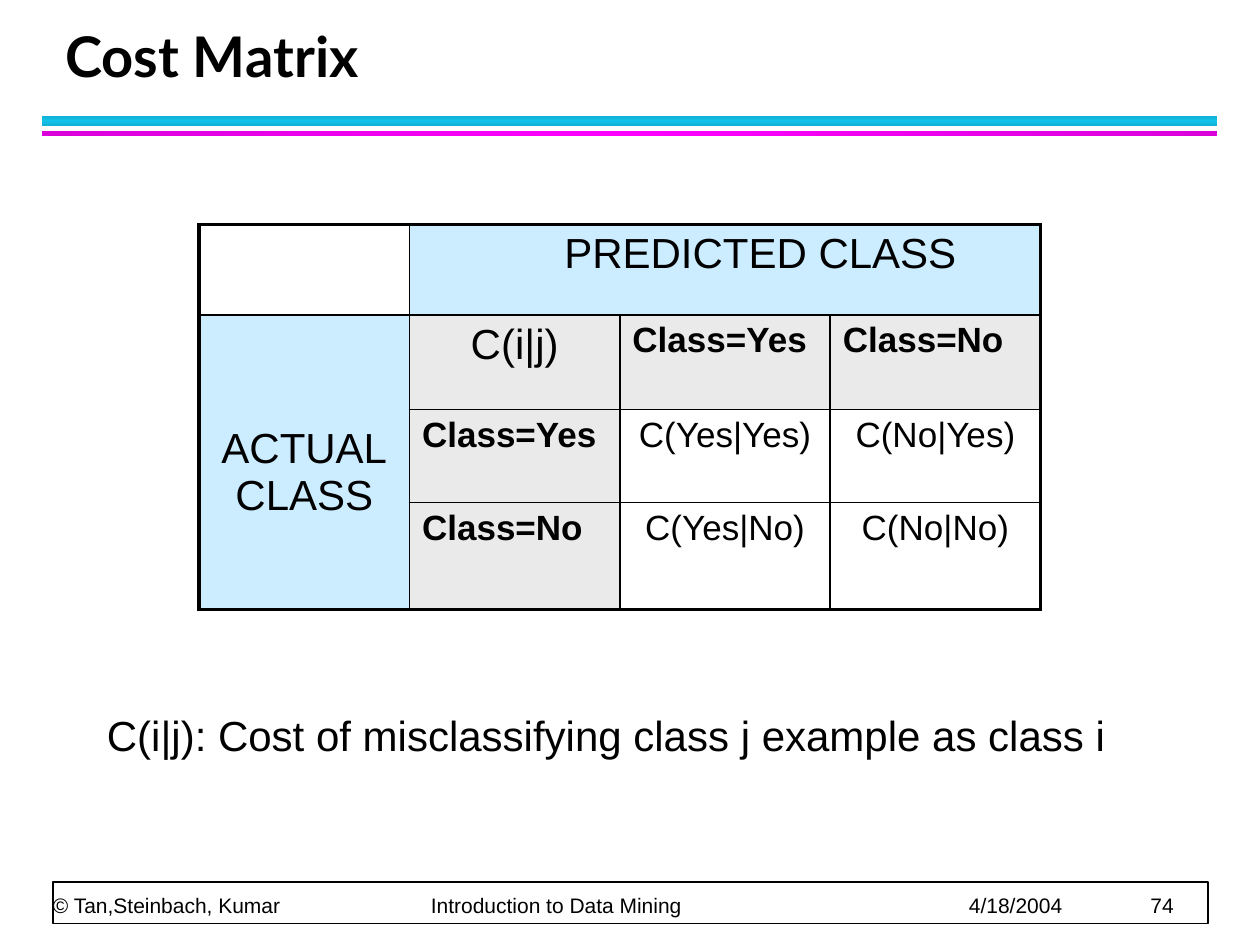
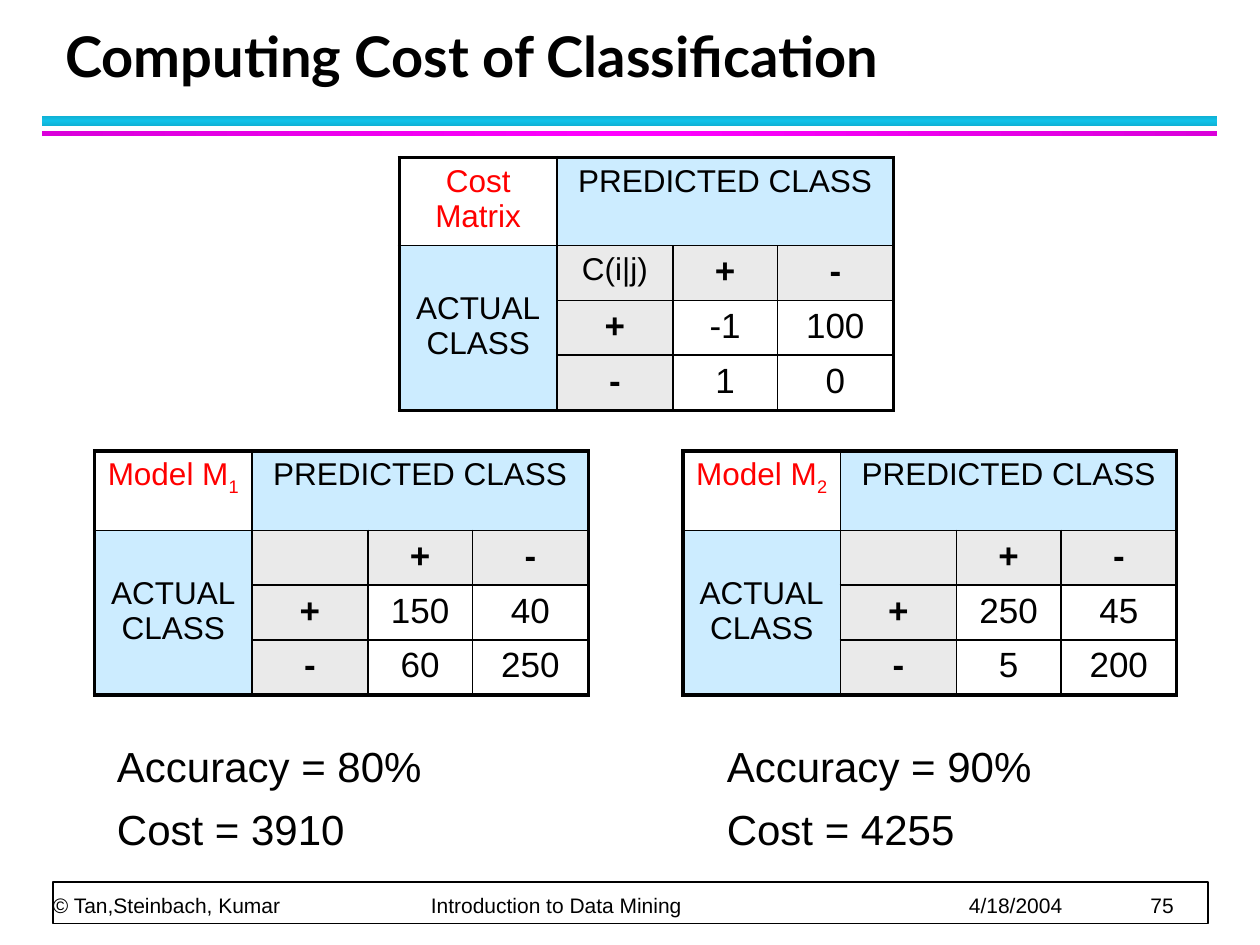
"""Build two slides on the cost matrix and the cost of classification."""
from copy import deepcopy
from dataclasses import dataclass

from lxml.etree import SubElement
from pptx import Presentation
from pptx.dml.color import RGBColor
from pptx.enum.shapes import MSO_SHAPE
from pptx.enum.text import MSO_ANCHOR, PP_ALIGN
from pptx.oxml.ns import qn
from pptx.slide import Slide
from pptx.table import Table, _Cell
from pptx.text.text import TextFrame, _Paragraph
from pptx.util import Inches, Pt

BLACK, WHITE, RED = "000000", "FFFFFF", "FF0000"
LIGHT_BLUE, LIGHT_GREY = "CCECFF", "EAEAEA"
BODY_FONT, TITLE_FONT = "Arial", "Lato"
THICK, THIN = 2.25, 1
FOOTER_TABS = (3.0, 7.27, 8.71)


@dataclass(frozen=True)
class Box:
    """Position and size in inches."""

    left: float
    top: float
    width: float
    height: float


@dataclass(frozen=True)
class Band:
    """Gradient stripe under the title."""

    box: Box
    edge: str
    middle: str
    angle: int


@dataclass(frozen=True)
class Matrix:
    """Table of predicted against actual classes."""

    left: float
    top: float
    grid: tuple[tuple[str, ...], ...]
    corner: str = ""
    subscript: str = ""
    column_widths: tuple[float, ...] = (1.25, 0.92, 0.83, 0.92)
    row_heights: tuple[float, ...] = (0.63, 0.38, 0.42, 0.44)
    label_size: int = 18
    class_alignment: PP_ALIGN = PP_ALIGN.CENTER
    predicted_margin: float = 0.1
    actual_margin: float = 0.36


@dataclass(frozen=True)
class Caption:
    """Lines of body text."""

    box: Box
    lines: tuple[str, ...]


@dataclass(frozen=True)
class Page:
    """Content of one slide."""

    title: str
    number: int
    matrices: tuple[Matrix, ...]
    captions: tuple[Caption, ...]


BANDS = (
    Band(Box(0.33, 0.92, 9.33, 0.08), "10B0D3", "12C2E9", 90),
    Band(Box(0.33, 1.04, 9.33, 0.04), "DA00DA", "FF00FF", 0),
)

PAGES = (
    Page(
        "Cost Matrix",
        74,
        (
            Matrix(
                1.58,
                1.78,
                (
                    ("C(i|j)", "Class=Yes", "Class=No"),
                    ("Class=Yes", "C(Yes|Yes)", "C(No|Yes)"),
                    ("Class=No", "C(Yes|No)", "C(No|No)"),
                ),
                column_widths=(1.67,) * 4,
                row_heights=(0.72, 0.75, 0.74, 0.85),
                label_size=24,
                class_alignment=PP_ALIGN.LEFT,
                predicted_margin=0.66,
                actual_margin=0.88,
            ),
        ),
        (Caption(Box(0.75, 5.58, 8.58, 1),
                 ("C(i|j): Cost of misclassifying class j example as class i",)),),
    ),
    Page(
        "Computing Cost of Classification",
        75,
        (
            Matrix(3.17, 1.25, (("C(i|j)", "+", "-"), ("+", "-1", "100"), ("-", "1", "0")),
                   "Cost Matrix"),
            Matrix(0.75, 3.58, (("", "+", "-"), ("+", "150", "40"), ("-", "60", "250")),
                   "Model M", "1"),
            Matrix(5.42, 3.58, (("", "+", "-"), ("+", "250", "45"), ("-", "5", "200")),
                   "Model M", "2"),
        ),
        (
            Caption(Box(0.83, 5.83, 3.33, 1.08), ("Accuracy = 80%", "Cost = 3910")),
            Caption(Box(5.67, 5.83, 3.33, 1.08), ("Accuracy = 90%", "Cost = 4255")),
        ),
    ),
)


def color(value: str) -> RGBColor:
    """Turn a hex string into a colour."""
    return RGBColor.from_string(value)


def place(box: Box) -> tuple[Inches, ...]:
    """Give a box as lengths."""
    return tuple(Inches(length) for length in (box.left, box.top, box.width, box.height))


def format_runs(paragraph: _Paragraph, size: int, bold: bool = False,
                ink: str = BLACK, font_name: str = BODY_FONT) -> None:
    """Style every run of a paragraph."""
    for run in paragraph.runs:
        run.font.name = font_name
        run.font.size = Pt(size)
        run.font.bold = bold
        run.font.color.rgb = color(ink)


def add_text(slide: Slide, box: Box, text: str) -> TextFrame:
    """Add a wrapping text box."""
    text_frame = slide.shapes.add_textbox(*place(box)).text_frame
    text_frame.word_wrap = True
    text_frame.text = text
    return text_frame


def draw_band(slide: Slide, band: Band) -> None:
    """Draw a stripe that runs from edge to middle colour and back."""
    shape = slide.shapes.add_shape(MSO_SHAPE.RECTANGLE, *place(band.box))
    shape.shadow.inherit = False
    shape.line.fill.background()
    shape.fill.gradient()
    shape.fill.gradient_angle = band.angle
    first, middle = shape.fill.gradient_stops
    first.color.rgb = color(band.edge)
    middle.color.rgb = color(band.middle)
    middle.position = 0.5
    stops = shape.element.spPr.find(".//" + qn("a:gsLst"))
    last = deepcopy(stops[0])
    last.set("pos", "100000")
    stops.append(last)


def draw_title(slide: Slide, title: str) -> None:
    """Write the slide title."""
    text_frame = add_text(slide, Box(0.42, 0.17, 9.06, 0.58), title)
    text_frame.vertical_anchor = MSO_ANCHOR.BOTTOM
    paragraph = text_frame.paragraphs[0]
    paragraph.line_spacing = Pt(36)
    format_runs(paragraph, 32, bold=True, font_name=TITLE_FONT)


def draw_footer(slide: Slide, number: int) -> None:
    """Draw the framed footer with its tabbed line."""
    frame = slide.shapes.add_shape(MSO_SHAPE.RECTANGLE, *place(Box(0.42, 7, 9.17, 0.33)))
    frame.shadow.inherit = False
    frame.fill.solid()
    frame.fill.fore_color.rgb = color(WHITE)
    frame.line.color.rgb = color(BLACK)
    frame.line.width = Pt(THIN)
    parts = ("© Tan,Steinbach, Kumar", "Introduction to Data Mining", "4/18/2004", str(number))
    text_frame = add_text(slide, Box(0.42, 7, 9.15, 0.28), "\t".join(parts))
    text_frame.vertical_anchor = MSO_ANCHOR.BOTTOM
    text_frame.margin_left = text_frame.margin_right = 0
    text_frame.margin_top = text_frame.margin_bottom = 0
    paragraph = text_frame.paragraphs[0]
    paragraph.line_spacing = Pt(20)
    format_runs(paragraph, 12)
    tab_list = SubElement(paragraph._p.get_or_add_pPr(), qn("a:tabLst"))
    for position in FOOTER_TABS:
        SubElement(tab_list, qn("a:tab"), pos=str(Inches(position)), algn="l")


def draw_borders(table: Table, row: int, column: int) -> None:
    """Give a cell thick outer and thin inner borders."""
    cell = table.cell(row, column)
    outer_sides = {
        "a:lnL": column == 0,
        "a:lnR": column + cell.span_width == len(table.columns),
        "a:lnT": row == 0,
        "a:lnB": row + cell.span_height == len(table.rows),
    }
    properties = cell._tc.get_or_add_tcPr()
    for tag, is_outer in outer_sides.items():
        if cell.is_spanned and not is_outer:
            continue
        line = SubElement(properties, qn(tag), w=str(Pt(THICK if is_outer else THIN)))
        fill = SubElement(line, qn("a:solidFill"))
        SubElement(fill, qn("a:srgbClr"), val=BLACK)


def fill_cell(cell: _Cell, text: str, size: int, background: str = WHITE, bold: bool = False,
              ink: str = BLACK, alignment: PP_ALIGN = PP_ALIGN.CENTER) -> None:
    """Write and colour one cell."""
    cell.fill.solid()
    cell.fill.fore_color.rgb = color(background)
    cell.text_frame.text = text
    paragraph = cell.text_frame.paragraphs[0]
    paragraph.alignment = alignment
    format_runs(paragraph, size, bold, ink)


def draw_matrix(slide: Slide, matrix: Matrix) -> None:
    """Draw a class matrix as a table."""
    box = Box(matrix.left, matrix.top, sum(matrix.column_widths), sum(matrix.row_heights))
    table = slide.shapes.add_table(4, 4, *place(box)).table
    table.first_row = table.horz_banding = False
    for column, width in zip(table.columns, matrix.column_widths):
        column.width = Inches(width)
    for row, height in zip(table.rows, matrix.row_heights):
        row.height = Inches(height)
    corner, predicted, actual = table.cell(0, 0), table.cell(0, 1), table.cell(1, 0)
    predicted.merge(table.cell(0, 3))
    actual.merge(table.cell(3, 0))
    for row in range(4):
        for column in range(4):
            draw_borders(table, row, column)

    fill_cell(corner, matrix.corner, matrix.label_size, ink=RED)
    if matrix.subscript:
        paragraph = corner.text_frame.paragraphs[0]
        paragraph.add_run().text = matrix.subscript
        format_runs(paragraph, matrix.label_size, ink=RED)
        paragraph.runs[-1].font._element.set("baseline", "-25000")
    fill_cell(predicted, "PREDICTED CLASS", matrix.label_size, LIGHT_BLUE)
    predicted.margin_left = Inches(matrix.predicted_margin)
    fill_cell(actual, "ACTUAL\vCLASS", matrix.label_size, LIGHT_BLUE)
    actual.margin_top = Inches(matrix.actual_margin)

    for row, texts in enumerate(matrix.grid):
        for column, text in enumerate(texts):
            cell = table.cell(row + 1, column + 1)
            if row == column == 0:
                fill_cell(cell, text, matrix.label_size, LIGHT_GREY)
            elif row == 0 or column == 0:
                fill_cell(cell, text, 20, LIGHT_GREY, bold=True,
                          alignment=matrix.class_alignment)
            else:
                fill_cell(cell, text, 20)


def draw_caption(slide: Slide, caption: Caption) -> None:
    """Write lines of body text."""
    text_frame = add_text(slide, caption.box, "\n".join(caption.lines))
    for paragraph in text_frame.paragraphs:
        paragraph.space_before = Pt(3)
        paragraph.space_after = Pt(4)
        format_runs(paragraph, 24)


def main() -> None:
    """Build and save the presentation."""
    presentation = Presentation()
    presentation.slide_width, presentation.slide_height = Inches(10), Inches(7.5)
    for page in PAGES:
        slide = presentation.slides.add_slide(presentation.slide_layouts[6])
        for band in BANDS:
            draw_band(slide, band)
        draw_footer(slide, page.number)
        draw_title(slide, page.title)
        for matrix in page.matrices:
            draw_matrix(slide, matrix)
        for caption in page.captions:
            draw_caption(slide, caption)
    presentation.save("out.pptx")


if __name__ == "__main__":
    main()
